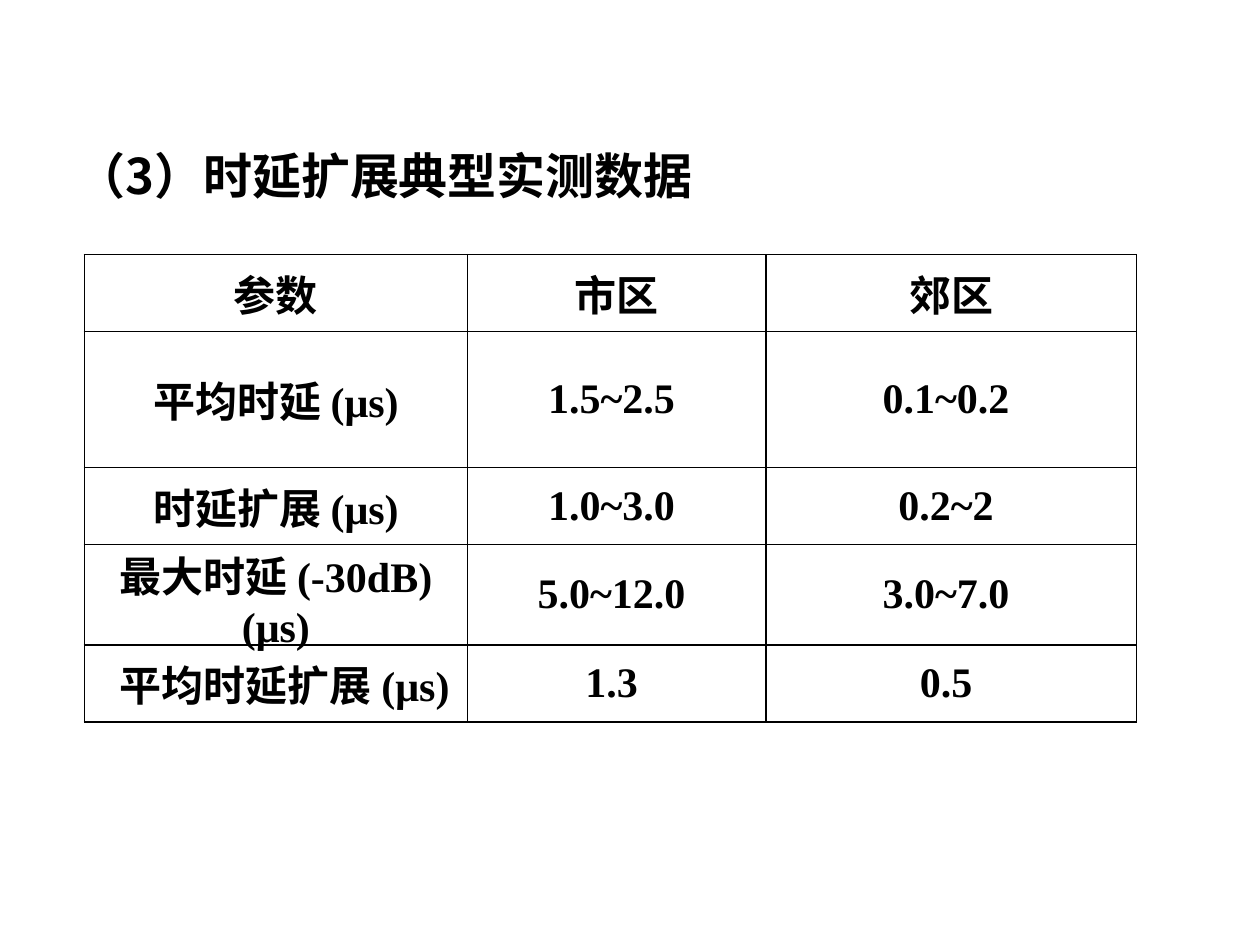
from lxml import etree
from pptx import Presentation
from pptx.dml.color import RGBColor
from pptx.enum.text import MSO_ANCHOR, PP_ALIGN
from pptx.oxml.ns import qn
from pptx.util import Inches, Pt

MIDDLE = MSO_ANCHOR.MIDDLE
LEFT, CENTER = PP_ALIGN.LEFT, PP_ALIGN.CENTER
BLACK, WHITE = "000000", "FFFFFF"
CJK_FONT, LATIN_FONT = "Noto Sans CJK SC", "Times New Roman"
HEADING_FORMAT = {"name": CJK_FONT, "size": Pt(28), "bold": True}
CELL_FORMAT = {"name": LATIN_FONT, "size": Pt(24), "bold": True}
CELL_LAYOUT = {
    "vertical_anchor": MIDDLE,
    "margin_left": Inches(0.07),
    "margin_right": Inches(0.07),
    "margin_top": 0,
    "margin_bottom": 0,
}
COLUMN_WIDTHS = [3.04, 2.37, 2.94]
ROW_HEIGHTS = [0.61, 1.08, 0.61, 0.61, 0.61]
DELAY_ROWS = [
    ["参数", "市区", "郊区"],
    ["平均时延 (μs)", "1.5~2.5 ", "0.1~0.2 "],
    ["时延扩展 (μs)", "1.0~3.0 ", "0.2~2 "],
    ["最大时延 (-30dB) (μs)", "5.0~12.0 ", "3.0~7.0 "],
    ["平均时延扩展 (μs)", "1.3 ", "0.5 "],
]


def color(hex_value):
    return RGBColor.from_string(hex_value)


def apply_format(target, values):
    for name, value in values.items():
        setattr(target, name, value)


def write_text(frame, words, text_format, alignment):
    paragraph = frame.paragraphs[0]
    paragraph.alignment = alignment
    run = paragraph.add_run()
    run.text = words
    apply_format(run.font, text_format)
    run.font.color.rgb = color(BLACK)
    east_asian = etree.SubElement(run.font._element, qn("a:ea"))
    east_asian.set("typeface", CJK_FONT)


def add_borders(cell):
    properties = cell._tc.get_or_add_tcPr()
    for position, side in enumerate(("lnL", "lnR", "lnT", "lnB")):
        border = etree.Element(qn(f"a:{side}"), w=str(Pt(1)))
        fill = etree.SubElement(border, qn("a:solidFill"))
        etree.SubElement(fill, qn("a:srgbClr"), val=BLACK)
        properties.insert(position, border)


def add_heading(slide, left, top, width, height):
    heading = slide.shapes.add_textbox(left, top, width, height).text_frame
    apply_format(heading, {"word_wrap": True, "vertical_anchor": MIDDLE})
    write_text(heading, "（3）时延扩展典型实测数据", HEADING_FORMAT, LEFT)


def add_delay_table(slide, left, top, width, height):
    table = slide.shapes.add_table(
        len(DELAY_ROWS), len(COLUMN_WIDTHS), left, top, width, height
    ).table
    apply_format(table, {"first_row": False, "horz_banding": False})
    for column, column_width in zip(table.columns, COLUMN_WIDTHS):
        column.width = Inches(column_width)
    for row, row_height, values in zip(table.rows, ROW_HEIGHTS, DELAY_ROWS):
        row.height = Inches(row_height)
        for cell, value in zip(row.cells, values):
            apply_format(cell, CELL_LAYOUT)
            cell.fill.background()
            add_borders(cell)
            write_text(cell.text_frame, value, CELL_FORMAT, CENTER)
    table.cell(len(DELAY_ROWS) - 1, 0).margin_left = Inches(0.21)


def main():
    presentation = Presentation()
    presentation.slide_width = Inches(10)
    presentation.slide_height = Inches(7.5)
    slide = presentation.slides.add_slide(presentation.slide_layouts[6])
    slide.background.fill.solid()
    slide.background.fill.fore_color.rgb = color(WHITE)
    add_heading(slide, Inches(0.51), Inches(0.76), Inches(9), Inches(1.25))
    add_delay_table(
        slide,
        Inches(0.67),
        Inches(2.02),
        Inches(sum(COLUMN_WIDTHS)),
        Inches(sum(ROW_HEIGHTS)),
    )
    presentation.save("out.pptx")


if __name__ == "__main__":
    main()
